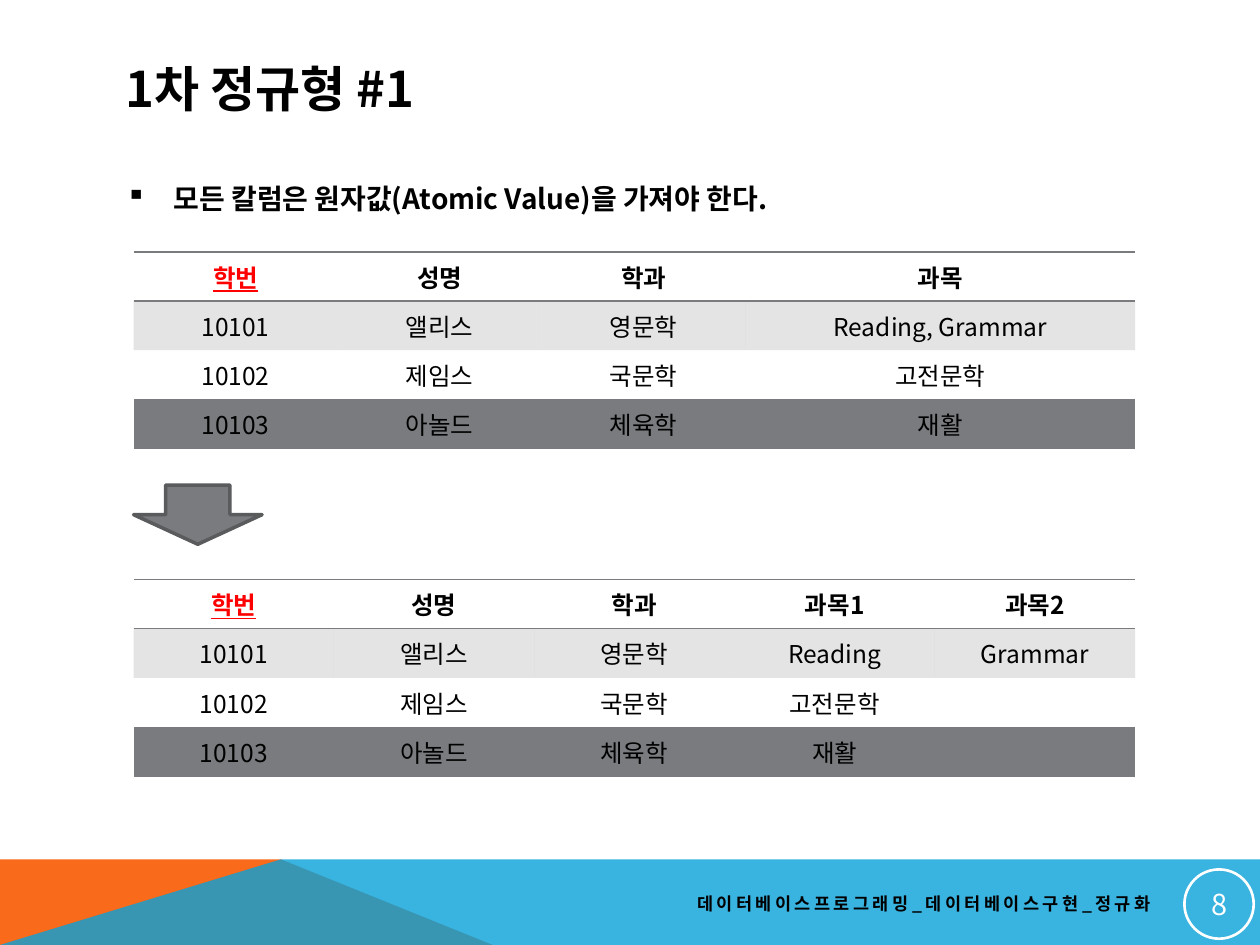
import pptx
import pptx.dml.color
import pptx.enum.shapes
import pptx.enum.text
import pptx.oxml.ns
import pptx.util
from lxml import etree

WIDTH, HEIGHT = 10, 7.5
FONT = "Noto Sans CJK KR"
COLORS = {
    "black": "000000", "white": "FFFFFF", "key": "FF0000", "gray": "797B7E",
    "outline": "5A5B5D", "orange": "F96A1B", "blue": "08A1D9",
}
ALIGN = pptx.enum.text.PP_ALIGN
ANCHOR = pptx.enum.text.MSO_ANCHOR
SHAPE = pptx.enum.shapes.MSO_SHAPE
NO_GRID_STYLE = "{2D5ABB26-0587-4C30-8999-92F81FD0307C}"
LEFT, TABLE_LEFT, TABLE_WIDTH, ROW_HEIGHT = 0.9, 1.06, 7.95, 0.39
FIRST_TABLE = [
    ["학번", "성명", "학과", "과목"],
    ["10101", "앨리스", "영문학", "Reading, Grammar"],
    ["10102", "제임스", "국문학", "고전문학"],
    ["10103", "아놀드", "체육학", "재활"],
]
SECOND_TABLE = [
    ["학번", "성명", "학과", "과목1", "과목2"],
    ["10101", "앨리스", "영문학", "Reading", "Grammar"],
    ["10102", "제임스", "국문학", "고전문학", ""],
    ["10103", "아놀드", "체육학", "재활", ""],
]


def inches(*values):
    """Convert lengths in inches to whole EMU."""
    return [pptx.util.Inches(value) for value in values]


def add_element(parent, tag, **attributes):
    """Append a DrawingML element and return it."""
    return etree.SubElement(parent, pptx.oxml.ns.qn(tag), attributes)


def set_fill(fill, color, alpha=100):
    """Apply a solid fill with an opacity in percent."""
    fill.solid()
    fill.fore_color.rgb = pptx.dml.color.RGBColor.from_string(COLORS[color])
    if alpha < 100:
        color_element = fill._xPr.find(".//" + pptx.oxml.ns.qn("a:srgbClr"))
        add_element(color_element, "a:alpha", val=str(alpha * 1000))


def write_text(frame, text, size, color="black", bold=False, underline=False,
               align=ALIGN.LEFT, spacing=0):
    """Write one formatted paragraph into a text frame and return it."""
    paragraph = frame.paragraphs[0]
    paragraph.alignment = align
    if not text:
        add_element(paragraph._p, "a:endParaRPr", sz=str(size * 100))
        return paragraph
    run = paragraph.add_run()
    run.text = text
    font = run.font
    font.size, font.name = pptx.util.Pt(size), FONT
    font.bold, font.underline = bold, underline
    set_fill(font.fill, color)
    add_element(font._element, "a:ea", typeface=FONT)
    if spacing:
        font._element.set("spc", str(spacing * 100))
    return paragraph


def add_text_box(slide, box, text, size, anchor=ANCHOR.MIDDLE, **style):
    """Place a wrapping text box and return its paragraph."""
    frame = slide.shapes.add_textbox(*inches(*box)).text_frame
    frame.word_wrap = True
    frame.vertical_anchor = anchor
    return write_text(frame, text, size, **style)


def add_polygon(slide, box, shares, color, alpha=100):
    """Draw a filled outline whose points are shares of a box."""
    left, top, width, height = box
    points = [inches(left + x * width, top + y * height) for x, y in shares]
    builder = slide.shapes.build_freeform(*points[0], scale=1.0)
    builder.add_line_segments(points[1:], close=True)
    shape = builder.convert_to_shape()
    shape.shadow.inherit = False
    set_fill(shape.fill, color, alpha)
    shape.line.fill.background()


def add_shape(slide, kind, box, line, line_width, fill=None):
    """Place a preset shape with an outline and an optional fill."""
    shape = slide.shapes.add_shape(kind, *inches(*box))
    shape.shadow.inherit = False
    if fill:
        set_fill(shape.fill, fill)
    else:
        shape.fill.background()
    set_fill(shape.line.fill, line)
    shape.line.width = pptx.util.Pt(line_width)
    return shape


def add_footer(slide, box, text, number):
    """Draw the coloured band with its caption and page number."""
    left, top, width, height = box
    peak = 0.223
    add_polygon(slide, box, [(0, 1), (0, 0), (peak, 0), (0.391, 1)], "orange")
    add_polygon(slide, box, [(0, 1), (peak, 0), (1, 0), (1, 1)], "blue", 80)
    add_text_box(slide, (left + 0.406 * width, top + 0.2, 0.517 * width, 0.3),
                 text, 10, bold=True, align=ALIGN.RIGHT, spacing=2)
    badge = add_shape(slide, SHAPE.OVAL, (left + 0.94 * width, top + 0.08, 0.55, 0.55),
                      "white", 1.5)
    frame = badge.text_frame
    frame.margin_left = frame.margin_right = pptx.util.Inches(0.01)
    frame.margin_top = frame.margin_bottom = pptx.util.Inches(0.01)
    frame.vertical_anchor = ANCHOR.MIDDLE
    write_text(frame, number, 16.5, color="white", align=ALIGN.CENTER)


def add_heading(slide, box, title, statement):
    """Place the title and the bulleted statement below it."""
    left, top, width, height = box
    add_text_box(slide, (left, top, width, 0.6), title, 28, bold=True)
    paragraph = add_text_box(slide, (left, top + height - 0.5, width, 0.5), statement,
                             16, anchor=ANCHOR.TOP, bold=True)
    paragraph.space_before = pptx.util.Pt(8)
    properties = paragraph._p.get_or_add_pPr()
    indent = pptx.util.Inches(0.38)
    properties.set("marL", str(indent))
    properties.set("indent", str(-indent))
    add_element(properties, "a:buChar", char="▪")


def add_border(cell, side):
    """Rule one side of a table cell."""
    line = add_element(cell._tc.get_or_add_tcPr(), side, w=str(pptx.util.Pt(1)))
    solid = add_element(line, "a:solidFill")
    add_element(solid, "a:srgbClr", val=COLORS["gray"])


def add_ruled_table(slide, left, top, rows, column_widths):
    """Place a table with ruled header and foot and shaded odd rows."""
    box = inches(left, top, sum(column_widths), ROW_HEIGHT * len(rows))
    table = slide.shapes.add_table(len(rows), len(column_widths), *box).table
    table._tbl.tblPr.find(pptx.oxml.ns.qn("a:tableStyleId")).text = NO_GRID_STYLE
    for column, width in zip(table.columns, column_widths):
        column.width = pptx.util.Inches(width)
    for row_index, row in enumerate(rows):
        header = row_index == 0
        for column_index, text in enumerate(row):
            cell = table.cell(row_index, column_index)
            key = header and column_index == 0
            cell.vertical_anchor = ANCHOR.MIDDLE
            write_text(cell.text_frame, text, 14, color="key" if key else "black",
                       bold=header, underline=key, align=ALIGN.CENTER)
            if header:
                add_border(cell, "a:lnT")
            if header or row_index == len(rows) - 1:
                add_border(cell, "a:lnB")
            if row_index % 2:
                set_fill(cell.fill, "gray", 20)
            else:
                cell.fill.background()


def main():
    """Build the slide on first normal form."""
    presentation = pptx.Presentation()
    presentation.slide_width, presentation.slide_height = inches(WIDTH, HEIGHT)
    slide = presentation.slides.add_slide(presentation.slide_layouts[6])
    add_footer(slide, (0, 6.82, WIDTH, 0.68),
               "데이터베이스프로그래밍_데이터베이스구현_정규화", "8")
    add_heading(slide, (LEFT, 0.4, 8.22, 1.49), "1차 정규형 #1",
                "모든 칼럼은 원자값(Atomic Value)을 가져야 한다.")
    add_ruled_table(slide, TABLE_LEFT, 2, FIRST_TABLE,
                    [1.62] * 3 + [TABLE_WIDTH - 3 * 1.62])
    add_shape(slide, SHAPE.DOWN_ARROW, (TABLE_LEFT, 3.85, 1.02, 0.47),
              "outline", 2, fill="gray")
    add_ruled_table(slide, TABLE_LEFT, 4.6, SECOND_TABLE, [TABLE_WIDTH / 5] * 5)
    presentation.save("out.pptx")


if __name__ == "__main__":
    main()
